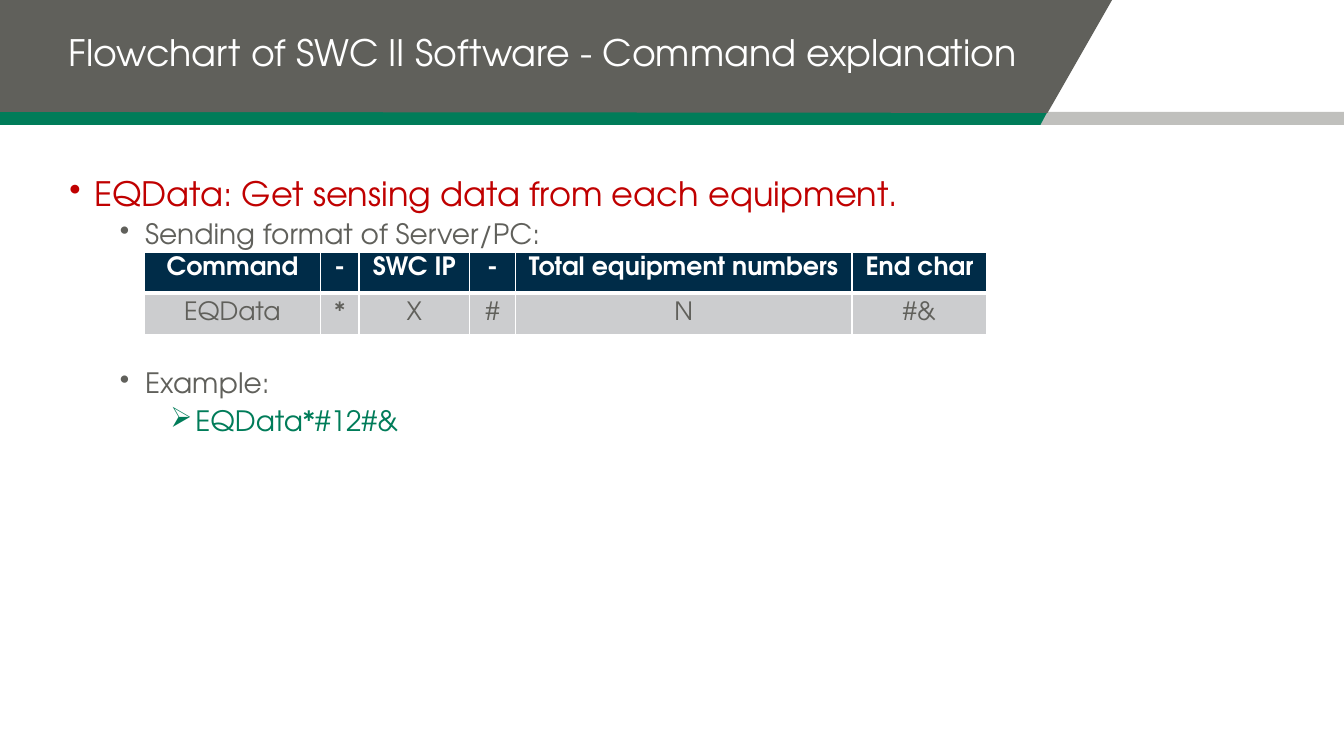
from dataclasses import dataclass

from lxml.etree import SubElement
from pptx import Presentation
from pptx.dml.color import RGBColor
from pptx.enum.text import MSO_ANCHOR, PP_ALIGN
from pptx.oxml.ns import qn
from pptx.util import Inches, Pt


@dataclass(frozen=True)
class Theme:
    face: str = "TeX Gyre Adventor"
    white: str = "FFFFFF"
    slate: str = "60605B"
    green: str = "007C59"
    stone: str = "C0C0BD"
    red: str = "C00000"
    navy: str = "002C48"
    pale: str = "CCCDCF"
    title: int = 26
    lead: int = 24
    body: int = 20
    cell: int = 18


def write(para, text, *, face, size, color, bold=False, align=PP_ALIGN.LEFT,
          bullet=None, indent=0, before=0, line=None):
    if bullet:
        props = para._p.get_or_add_pPr()
        props.set("marL", str(Inches(indent)))
        props.set("indent", str(Inches(-0.25)))
        SubElement(props, qn("a:buChar")).set("char", bullet)
    para.alignment = align
    if before:
        para.space_before = Pt(before)
    if line:
        para.line_spacing = line
    run = para.add_run()
    run.text = text
    run.font.name = face
    run.font.size = Pt(size)
    run.font.bold = bold
    run.font.color.rgb = RGBColor.from_string(color)


class Deck:
    def __init__(self, theme):
        self.theme = theme
        self.file = Presentation()
        self.file.slide_width = Inches(13.33)
        self.file.slide_height = Inches(7.5)
        self.slide = self.file.slides.add_slide(self.file.slide_layouts[6])

    def shape(self, points, color):
        spots = [(Inches(x), Inches(y)) for x, y in points]
        draft = self.slide.shapes.build_freeform(*spots[0])
        draft.add_line_segments(spots[1:], close=True)
        shape = draft.convert_to_shape()
        shape.shadow.inherit = False
        shape.fill.solid()
        shape.fill.fore_color.rgb = RGBColor.from_string(color)
        shape.line.fill.background()

    def text(self, area, items, anchor=MSO_ANCHOR.TOP):
        box = self.slide.shapes.add_textbox(*map(Inches, area))
        frame = box.text_frame
        frame.word_wrap = True
        frame.vertical_anchor = anchor
        for index, (words, style) in enumerate(items):
            para = frame.paragraphs[0] if index == 0 else frame.add_paragraph()
            write(para, words, face=self.theme.face, **style)

    def edge(self, cell, sides):
        props = cell._tc.get_or_add_tcPr()
        for side, width in sides.items():
            line = SubElement(props, qn("a:ln" + side), w=str(Pt(width)))
            fill = SubElement(line, qn("a:solidFill"))
            SubElement(fill, qn("a:srgbClr"), val=self.theme.white)

    def table(self, left, top, widths, height, rows):
        look = self.theme
        frame = self.slide.shapes.add_table(
            len(rows), len(widths), Inches(left), Inches(top),
            Inches(sum(widths)), Inches(height * len(rows)))
        grid = frame.table
        for column, width in zip(grid.columns, widths):
            column.width = Inches(width)
        for i, row in enumerate(rows):
            head = i == 0
            grid.rows[i].height = Inches(height)
            for j, words in enumerate(row):
                cell = grid.cell(i, j)
                self.edge(cell, {"L": 1, "R": 1, "T": 1 if head else 3,
                                 "B": 3 if head else 1})
                cell.fill.solid()
                cell.fill.fore_color.rgb = RGBColor.from_string(
                    look.navy if head else look.pale)
                cell.vertical_anchor = MSO_ANCHOR.TOP if head else MSO_ANCHOR.MIDDLE
                write(cell.text_frame.paragraphs[0], words, face=look.face,
                      size=look.cell, bold=head, align=PP_ALIGN.CENTER,
                      color=look.white if head else look.slate)


def main():
    look = Theme()
    deck = Deck(look)
    deck.shape([(0, 1.11), (10.55, 1.11), (10.55, 1.24), (0, 1.24)], look.green)
    deck.shape([(10.39, 1.11), (13.33, 1.11), (13.33, 1.24), (10.32, 1.24)],
               look.stone)
    deck.shape([(0, 0), (11.03, 0), (10.39, 1.12), (0, 1.11)], look.slate)
    deck.text((0.58, -0.02, 9.81, 1.11), [
        ("Flowchart of SWC II Software - Command explanation",
         dict(size=look.title, color=look.white, line=Pt(28.2))),
    ], MSO_ANCHOR.MIDDLE)

    point = dict(size=look.body, color=look.slate, bullet="•",
                 indent=0.75, before=5, line=0.9)
    deck.text((0.59, 1.71, 12.15, 4.57), [
        ("EQData: Get sensing data from each equipment.",
         point | dict(size=look.lead, color=look.red, indent=0.25, before=0)),
        ("Sending format of Server/PC:", point),
        ("Example:", point | dict(before=85)),
        ("EQData*#12#&",
         point | dict(color=look.green, bullet="➢", indent=1.25)),
    ])
    deck.table(1.43, 2.5, [1.75, 0.38, 1.1, 0.45, 3.34, 1.34], 0.41, [
        ["Command", "-", "SWC IP", "-", "Total equipment numbers", "End char"],
        ["EQData", "*", "X", "#", "N", "#&"],
    ])
    deck.file.save("out.pptx")


if __name__ == "__main__":
    main()
